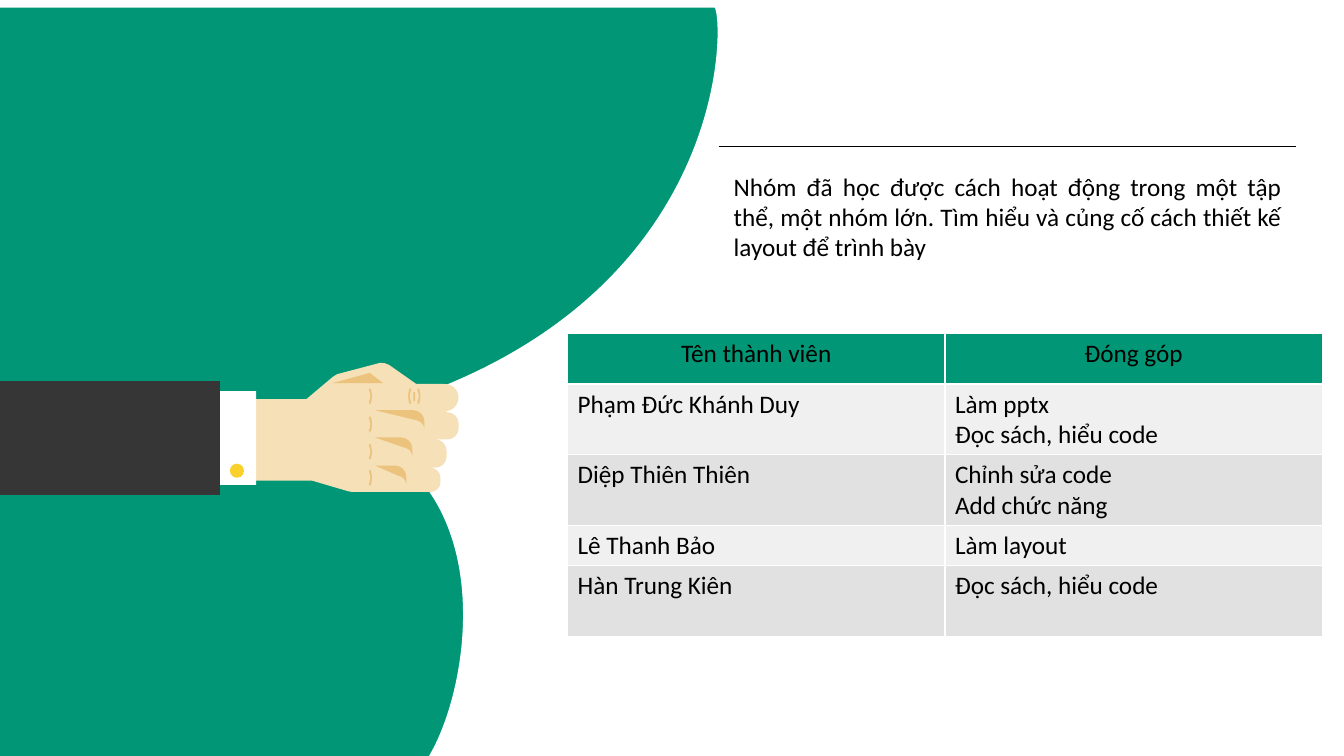
import dataclasses
import typing

import lxml.etree
import pptx
import pptx.dml.color
import pptx.enum.shapes
import pptx.enum.text
import pptx.oxml.ns
import pptx.util

Pt = pptx.util.Pt
qn = pptx.oxml.ns.qn
Form = pptx.enum.shapes.MSO_SHAPE
Align = pptx.enum.text.PP_ALIGN

GREEN, SKIN, SHADE = "019675", "F6E0B7", "ECC37D"
WHITE, BLACK, DARK, YELLOW = "FFFFFF", "000000", "363636", "FAD12C"
LIGHT, GREY = "F0F0F0", "E1E1E1"

# A contour is a list of steps: (x, y) is a line, six numbers are a curve.
Step = tuple[float, ...]
Contour = list[Step]


@dataclasses.dataclass
class Area:
    contours: list[Contour]
    fill: str
    edge: str | None = None


@dataclasses.dataclass
class Block:
    form: typing.Any
    left: float
    top: float
    width: float
    height: float
    fill: str


@dataclasses.dataclass
class Row:
    name: str
    work: str
    height: float
    fill: str
    align: typing.Any = Align.LEFT


def color(code: str) -> pptx.dml.color.RGBColor:
    return pptx.dml.color.RGBColor.from_string(code)


def paint(shape: typing.Any, fill: str, edge: str | None = None) -> None:
    shape.shadow.inherit = False
    shape.fill.solid()
    shape.fill.fore_color.rgb = color(fill)
    if edge:
        shape.line.color.rgb = color(edge)
        shape.line.width = Pt(2.25)
    else:
        shape.line.fill.background()


def bend(shape: typing.Any, contours: list[Contour]) -> None:
    """Turn the straight segments of curved steps into cubic curves."""
    steps = [step for contour in contours for step in contour[1:]]
    for line, step in zip(list(shape._element.iter(qn("a:lnTo"))), steps):
        if len(step) == 2:
            continue
        curve = lxml.etree.Element(qn("a:cubicBezTo"))
        for x, y in zip(step[::2], step[1::2]):
            lxml.etree.SubElement(curve, qn("a:pt"), x=str(Pt(x) - shape.left),
                                  y=str(Pt(y) - shape.top))
        line.getparent().replace(line, curve)


def draw_area(shapes: typing.Any, area: Area) -> None:
    first, *others = [[(Pt(step[-2]), Pt(step[-1])) for step in contour]
                      for contour in area.contours]
    pen = shapes.build_freeform(*first[0], scale=1.0)
    pen.add_line_segments(first[1:], close=True)
    for chain in others:
        pen.move_to(*chain[0])
        pen.add_line_segments(chain[1:], close=True)
    shape = pen.convert_to_shape()
    bend(shape, area.contours)
    paint(shape, area.fill, area.edge)


def draw_block(shapes: typing.Any, block: Block) -> None:
    shape = shapes.add_shape(block.form, Pt(block.left), Pt(block.top),
                             Pt(block.width), Pt(block.height))
    paint(shape, block.fill)


def fold(right: float, top: float) -> Contour:
    """Shadow under one finger."""
    return [(right, top + 11.5), (right, top + 7.9),
            (right, top + 3.6, right - 3.6, top, right - 7.9, top),
            (267.8, top), (right - 5.8, top + 7.2),
            (right - 2.9, top + 7.9, right - 0.7, top + 9.4, right, top + 13)]


def crease(x: float, mid: float, side: int = 1) -> Contour:
    """Thin crescent that bulges to the right, or left if side is -1."""
    steps = [(0, -4.3), (0.7, -5.8), (1.4, -5),
             (2.5, -2, 2.5, 2, 1.4, 5), (0.7, 5.8), (0, 4.3),
             (1.4, 1.4, 1.4, -1.4, 0, -4.3)]
    return [tuple(mid + v if i % 2 else x + side * v for i, v in enumerate(step))
            for step in steps]


def write(frame: typing.Any, text: str, *, align: typing.Any = Align.LEFT,
          size: float = 18, font: str = "Calibri", ink: str = BLACK) -> None:
    frame.word_wrap = True
    for i, line in enumerate(text.split("\n")):
        para = frame.paragraphs[0] if i == 0 else frame.add_paragraph()
        para.alignment = align
        run = para.add_run()
        run.text = line
        run.font.name, run.font.size = font, Pt(size)
        run.font.bold = False
        run.font.color.rgb = color(ink)


def frame_cell(cell: typing.Any) -> None:
    props = cell._tc.get_or_add_tcPr()
    for side in ("a:lnL", "a:lnR", "a:lnT", "a:lnB"):
        line = lxml.etree.SubElement(props, qn(side), w=str(Pt(1)))
        fill = lxml.etree.SubElement(line, qn("a:solidFill"))
        lxml.etree.SubElement(fill, qn("a:srgbClr"), val=WHITE)


def draw_table(shapes: typing.Any, rows: list[Row]) -> None:
    table = shapes.add_table(len(rows), 2, Pt(405.4), Pt(238.3), Pt(539.2),
                             Pt(sum(row.height for row in rows))).table
    for i, row in enumerate(rows):
        table.rows[i].height = Pt(row.height)
        for j, text in enumerate((row.name, row.work)):
            cell = table.cell(i, j)
            frame_cell(cell)
            cell.fill.solid()
            cell.fill.fore_color.rgb = color(row.fill)
            write(cell.text_frame, text, align=row.align)


def draw_rule(shapes: typing.Any) -> None:
    rule = shapes.add_connector(pptx.enum.shapes.MSO_CONNECTOR.STRAIGHT,
                                Pt(513.4), Pt(104.4), Pt(925.9), Pt(104.4))
    rule.line.color.rgb = color(BLACK)
    rule.line.width = Pt(0.5)
    lxml.etree.SubElement(rule._element.spPr, qn("a:effectLst"))


WAVE = Area([[(-14.4, 4.3), (510.5, 4.3), (518.4, -2.2, 535, 236.2, 233.3, 302.4),
              (365.8, 333.4, 337.7, 499.7, 303.1, 547.2), (-14.4, 547.2)]],
            GREEN, WHITE)
FIST = Area([[(327.6, 283.7), (327.6, 288, 324.7, 291.6, 321.8, 293),
              (318.2, 293.8), (319.7, 294.5),
              (324, 294.5, 327.6, 298.1, 327.6, 302.4), (327.6, 306),
              (327.6, 310.3, 324, 313.9, 319.7, 313.9), (311, 313.9),
              (315.4, 313.9, 319, 317.5, 319, 321.8), (319, 326.2),
              (319, 330.5, 315.4, 334.1, 311, 334.1), (307.4, 334.1),
              (311, 334.1, 314.6, 337, 314.6, 341.3), (314.6, 344.9),
              (314.6, 348.5, 311, 351.4, 307.4, 351.4), (255.6, 351.4),
              (252.7, 351.4, 249.8, 351.4, 247.7, 350.6), (223.2, 343.4),
              (176.4, 343.4), (177.1, 285.1), (218.9, 285.1), (237.6, 269.3),
              (239, 267.8, 241.2, 267.1, 244.1, 266.4), (271.4, 259.2),
              (273.6, 259.2, 275.8, 259.2, 277.9, 260.6), (297.4, 274.3),
              (317.5, 274.3), (323.3, 274.3, 327.6, 278.6, 327.6, 283.7)]], SKIN)
FOLDS = Area([[(273.6, 273.6), (264.2, 266.4), (237.6, 273.6)],
              fold(303.1, 293), fold(294.5, 312.5), fold(290.2, 332.6)], SHADE)
LINES = Area([crease(263.5, mid) for mid in (283, 303.1, 322.6, 341.3)]
             + [crease(298.1, 283), crease(293.8, 283, -1)], SHADE)
BLOCKS = [
    Block(Form.ROUNDED_RECTANGLE, 295.2, 280.1, 1.4, 6.5, SHADE),
    Block(Form.RECTANGLE, 138.2, 279.4, 44.7, 67, WHITE),
    Block(Form.RECTANGLE, -14.4, 272.2, 171.4, 81.4, DARK),
    Block(Form.OVAL, 164.2, 331.2, 10.1, 10.1, YELLOW),
]
ROWS = [
    Row("Tên thành viên", "Đóng góp", 36, GREEN, Align.CENTER),
    Row("Phạm Đức Khánh Duy", "Làm pptx\nĐọc sách, hiểu code", 50.4, LIGHT),
    Row("Diệp Thiên Thiên", "Chỉnh sửa code\nAdd chức năng", 50.4, GREY),
    Row("Lê Thanh Bảo", "Làm layout", 28.8, LIGHT),
    Row("Hàn Trung Kiên", "Đọc sách, hiểu code", 50.4, GREY),
]
LESSON = ("Nhóm đã học được cách hoạt động trong một tập thể, một nhóm lớn. "
          "Tìm hiểu và củng cố cách thiết kế layout để trình bày")


def main() -> None:
    deck = pptx.Presentation()
    deck.slide_width, deck.slide_height = Pt(960), Pt(540)
    shapes = deck.slides.add_slide(deck.slide_layouts[6]).shapes
    draw_area(shapes, WAVE)
    arm = shapes.add_group_shape().shapes
    for area in (FIST, FOLDS, LINES):
        draw_area(arm, area)
    for block in BLOCKS:
        draw_block(arm, block)
    draw_rule(shapes)
    note = shapes.add_textbox(Pt(517), Pt(118.8), Pt(405.4), Pt(159.8))
    write(note.text_frame, LESSON, align=Align.JUSTIFY)
    draw_table(shapes, ROWS)
    deck.save("out.pptx")


if __name__ == "__main__":
    main()
